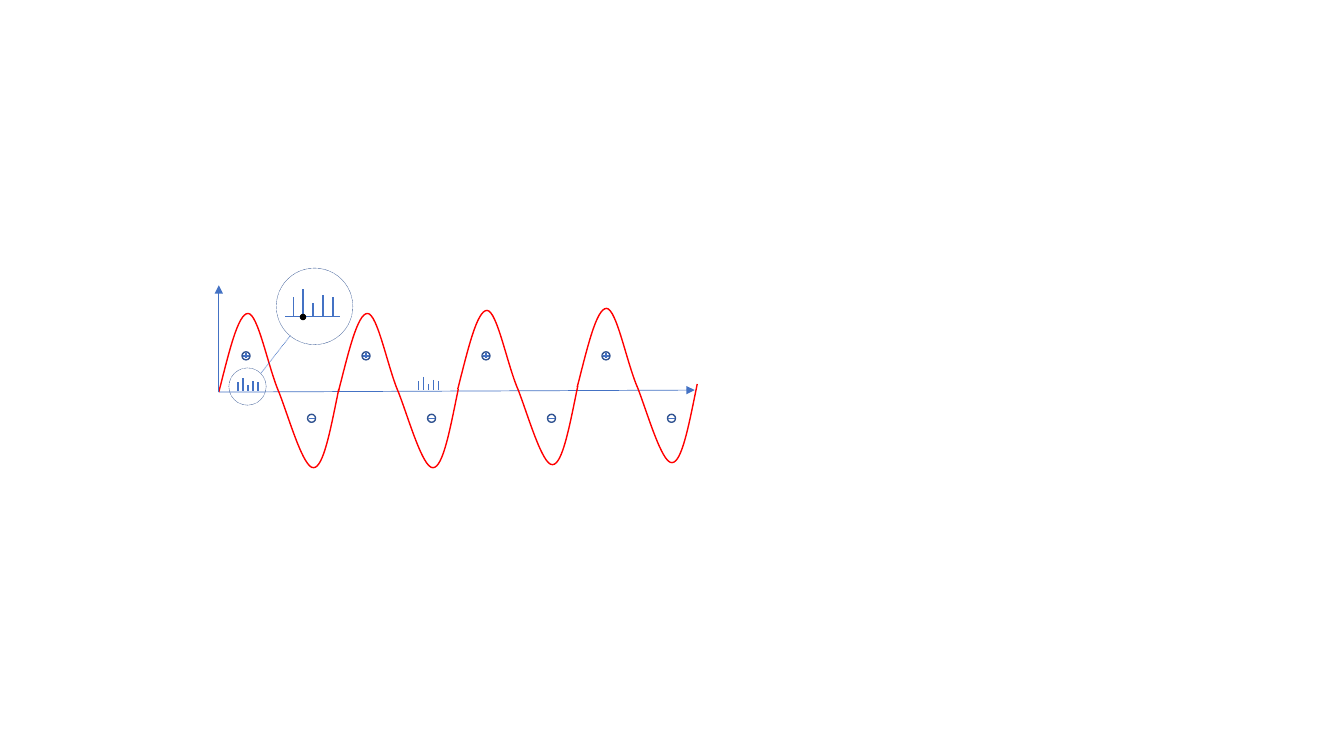
from pptx import Presentation
from pptx.dml.color import RGBColor
from pptx.enum import dml, shapes
from pptx.oxml import ns
from pptx.util import Inches, Pt
from lxml import etree

BLUE, NAVY, RED, BLACK = "4472C4", "325491", "FF0000", "000000"
PERIOD = 1.19
STICK_HEIGHTS = (0.09, 0.13, 0.06, 0.10, 0.09)
ZOOMED_HEIGHTS = (0.19, 0.27, 0.13, 0.21, 0.19)
# Start of one period, then three points for each cubic curve
WAVE_START = (2.17, 3.89)
WAVE_CURVES = [
    (2.27, 3.50), (2.36, 3.11), (2.46, 3.11),
    (2.56, 3.11), (2.66, 3.65), (2.77, 3.90),
    (2.87, 4.16), (3.01, 4.65), (3.11, 4.64),
    (3.21, 4.64), (3.28, 4.25), (3.36, 3.86),
]


def color(hex_color):
    return RGBColor.from_string(hex_color)


def style_line(sp, hex_color, width, dotted=False):
    sp.line.color.rgb = color(hex_color)
    sp.line.width = Pt(width)
    if dotted:
        sp.line.dash_style = dml.MSO_LINE.ROUND_DOT


def add_line(parent, start, end, width, dotted=False, arrow=False):
    sp = parent.add_connector(shapes.MSO_CONNECTOR.STRAIGHT,
                              *(Inches(v) for v in (*start, *end)))
    style_line(sp, BLUE, width, dotted)
    if arrow:
        etree.SubElement(sp.line._get_or_add_ln(), ns.qn("a:tailEnd"), type="triangle")
    etree.SubElement(sp._element.spPr, ns.qn("a:effectLst"))


def add_circle(parent, x, y, size, hex_color, width, dotted=False, filled=False):
    sp = parent.add_shape(shapes.MSO_SHAPE.OVAL, Inches(x), Inches(y),
                          Inches(size), Inches(size))
    sp.shadow.inherit = False
    if filled:
        sp.fill.solid()
        sp.fill.fore_color.rgb = color(hex_color)
    else:
        sp.fill.background()
    style_line(sp, hex_color, width, dotted)


def add_wave(parent, dx, dy):
    """Draw one period, turning each three points into a cubic curve."""
    start, *points = [(Inches(x + dx), Inches(y + dy))
                      for x, y in [WAVE_START, *WAVE_CURVES]]
    builder = parent.build_freeform(*start, scale=1.0)
    builder.add_line_segments(points, close=False)
    sp = builder.convert_to_shape()
    sp.shadow.inherit = False
    sp.fill.background()
    style_line(sp, RED, 1)
    outline = next(sp._element.iter(ns.qn("a:path")))
    segments = outline.findall(ns.qn("a:lnTo"))
    for i in range(0, len(segments), 3):
        curve = etree.SubElement(outline, ns.qn("a:cubicBezTo"))
        for segment in segments[i:i + 3]:
            curve.append(segment[0])
            outline.remove(segment)


def add_sticks(parent, x, base, step, heights):
    for i, height in enumerate(heights):
        stick_x = x + i * step
        add_line(parent, (stick_x, base - height), (stick_x, base), 1.25)


def add_sign(parent, x, y, positive):
    """Draw a circled plus or minus centred on x, y."""
    add_circle(parent, x - 0.04, y - 0.04, 0.08, NAVY, 1)
    if positive:
        add_line(parent, (x, y - 0.03), (x, y + 0.02), 1)
    add_line(parent, (x - 0.03, y), (x + 0.03, y), 1)


def add_zoom(parent):
    add_sticks(parent, 2.91, 3.14, 0.098, ZOOMED_HEIGHTS)
    add_line(parent, (2.83, 3.14), (3.37, 3.14), 0.5)
    add_circle(parent, 2.74, 2.66, 0.76, NAVY, 0.25, dotted=True)
    add_circle(parent, 2.98, 3.12, 0.05, BLACK, 1, filled=True)


def main():
    prs = Presentation()
    prs.slide_width, prs.slide_height = Inches(13.33), Inches(7.5)
    sps = prs.slides.add_slide(prs.slide_layouts[6]).shapes

    add_line(sps, WAVE_START, (6.89, 3.87), 0.5, arrow=True)
    for i, dy in enumerate((0, 0, -0.03, -0.05)):
        add_wave(sps, i * 1.185, dy)
    for x, base in ((2.36, 3.88), (4.15, 3.87)):
        add_sticks(sps.add_group_shape().shapes, x, base, 0.05, STICK_HEIGHTS)
    for i in range(4):
        for x, y, positive in ((2.44, 3.53, True), (3.09, 4.15, False)):
            add_sign(sps.add_group_shape().shapes, x + i * PERIOD, y, positive)

    add_line(sps, WAVE_START, (2.17, 2.83), 0.5, arrow=True)
    add_circle(sps, 2.27, 3.65, 0.37, NAVY, 0.25, dotted=True)
    add_line(sps, (2.59, 3.70), (2.88, 3.33), 0.5, dotted=True)
    add_zoom(sps.add_group_shape().shapes)
    prs.save("out.pptx")


if __name__ == "__main__":
    main()
